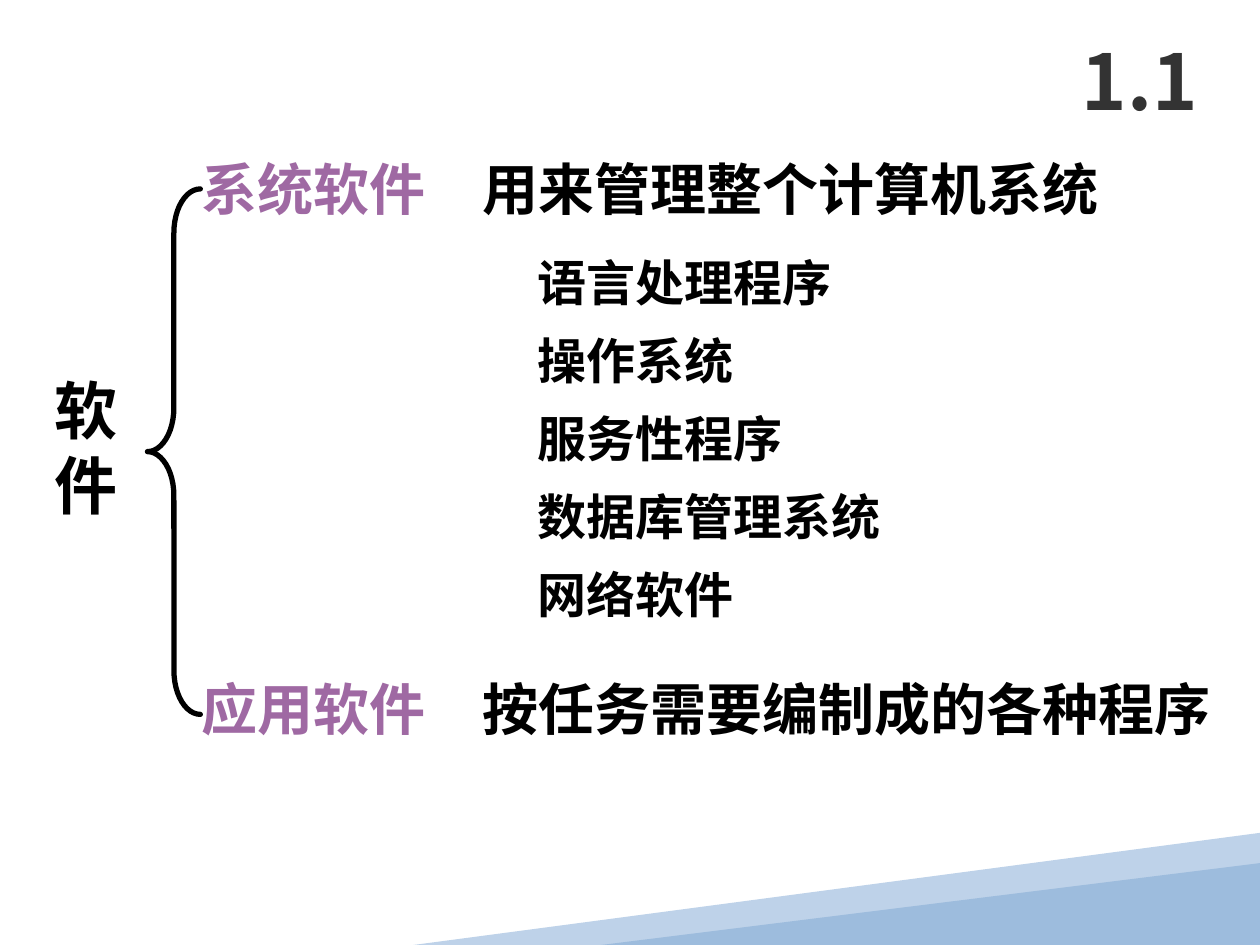
from lxml import etree
from pptx import Presentation
from pptx.dml.color import RGBColor
from pptx.enum.shapes import MSO_SHAPE
from pptx.enum.text import MSO_ANCHOR, PP_ALIGN
from pptx.oxml.ns import qn
from pptx.util import Inches, Pt

LEFT_BRACE = MSO_SHAPE.LEFT_BRACE
TRIANGLE = MSO_SHAPE.ISOSCELES_TRIANGLE
MIDDLE = MSO_ANCHOR.MIDDLE
LEFT, CENTER = PP_ALIGN.LEFT, PP_ALIGN.CENTER

FONT = "Noto Sans CJK SC"
BLACK, PURPLE, GRAY = "000000", "9F69A3", "333333"
LIGHT_BLUE, MID_BLUE = "BED2E9", "9DBCDD"

# Row top, category, description, description width
CATEGORIES = [
    (1.17, "系统软件", "用来管理整个计算机系统", 5.83),
    (5.3, "应用软件", "按任务需要编制成的各种程序", 7.01),
]
SYSTEM_SOFTWARE = [
    ("语言处理程序", 3.06),
    ("操作系统", 2.35),
    ("服务性程序", 2.92),
    ("数据库管理系统", 3.5),
    ("网络软件", 2.33),
]
ITEM_TOP, ITEM_PITCH = 1.95, 0.62


def rgb(color):
    return RGBColor.from_string(color)


def paint(shape, color):
    shape.shadow.inherit = False
    shape.fill.solid()
    shape.fill.fore_color.rgb = rgb(color)
    shape.line.fill.background()


def add_label(slide, box, lines, size, color=BLACK, align=LEFT,
              inset=0.1, wrap=True):
    """Add bold text, one paragraph per line, centred vertically in box."""
    label = slide.shapes.add_textbox(*map(Inches, box))
    frame = label.text_frame
    frame.word_wrap = wrap
    frame.vertical_anchor = MIDDLE
    frame.margin_left = Inches(inset)
    for index, line in enumerate(lines):
        paragraph = frame.add_paragraph() if index else frame.paragraphs[0]
        paragraph.alignment = align
        run = paragraph.add_run()
        run.text = line
        run.font.name = FONT
        run.font.size = Pt(size)
        run.font.bold = True
        run.font.color.rgb = rgb(color)
        east_asian = etree.SubElement(run.font._element, qn("a:ea"))
        east_asian.set("typeface", FONT)


def add_corner_wedges(slide):
    builder = slide.shapes.build_freeform(Inches(10), Inches(6.61))
    corners = [(10, 7.44), (6.73, 7.5), (3.28, 7.5)]
    builder.add_line_segments([(Inches(x), Inches(y)) for x, y in corners])
    paint(builder.convert_to_shape(), LIGHT_BLUE)

    front = slide.shapes.add_shape(
        TRIANGLE, Inches(4.77), Inches(6.85), Inches(5.23), Inches(0.65))
    front.adjustments[0] = 1
    paint(front, MID_BLUE)


def add_brace(slide):
    brace = slide.shapes.add_shape(
        LEFT_BRACE, Inches(1.17), Inches(1.5), Inches(0.42), Inches(4.17))
    brace.adjustments[0] = 0.83
    brace.shadow.inherit = False
    brace.fill.background()
    brace.line.color.rgb = rgb(BLACK)
    brace.line.width = Pt(3)
    brace.line._get_or_add_ln().set("cap", "rnd")


def main():
    prs = Presentation()
    prs.slide_width, prs.slide_height = Inches(10), Inches(7.5)
    slide = prs.slides.add_slide(prs.slide_layouts[6])

    add_corner_wedges(slide)
    add_brace(slide)
    for top, category, description, width in CATEGORIES:
        add_label(slide, (1.5, top, 2.5, 0.64), [category], 32, PURPLE)
        add_label(slide, (3.83, top, width, 0.64), [description], 32, inset=0)
    for row, (item, width) in enumerate(SYSTEM_SOFTWARE):
        top = ITEM_TOP + row * ITEM_PITCH
        add_label(slide, (4.17, top, width, 0.57), [item], 28)
    add_label(slide, (0.33, 2.83, 0.7, 1.43), ["软", "件"], 36,
              align=CENTER, wrap=False)
    add_label(slide, (8.42, 0.17, 1.25, 0.92), ["1.1"], 44, GRAY, CENTER)

    prs.save("out.pptx")


if __name__ == "__main__":
    main()
